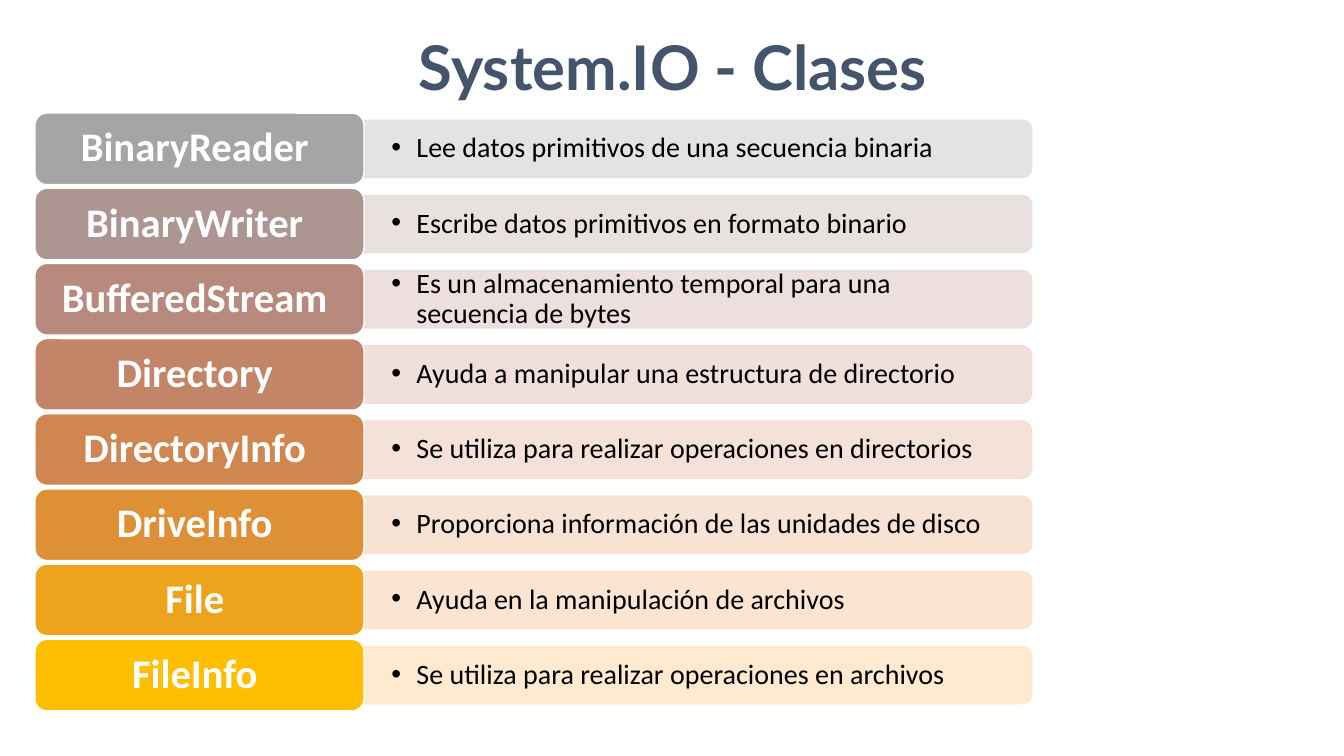
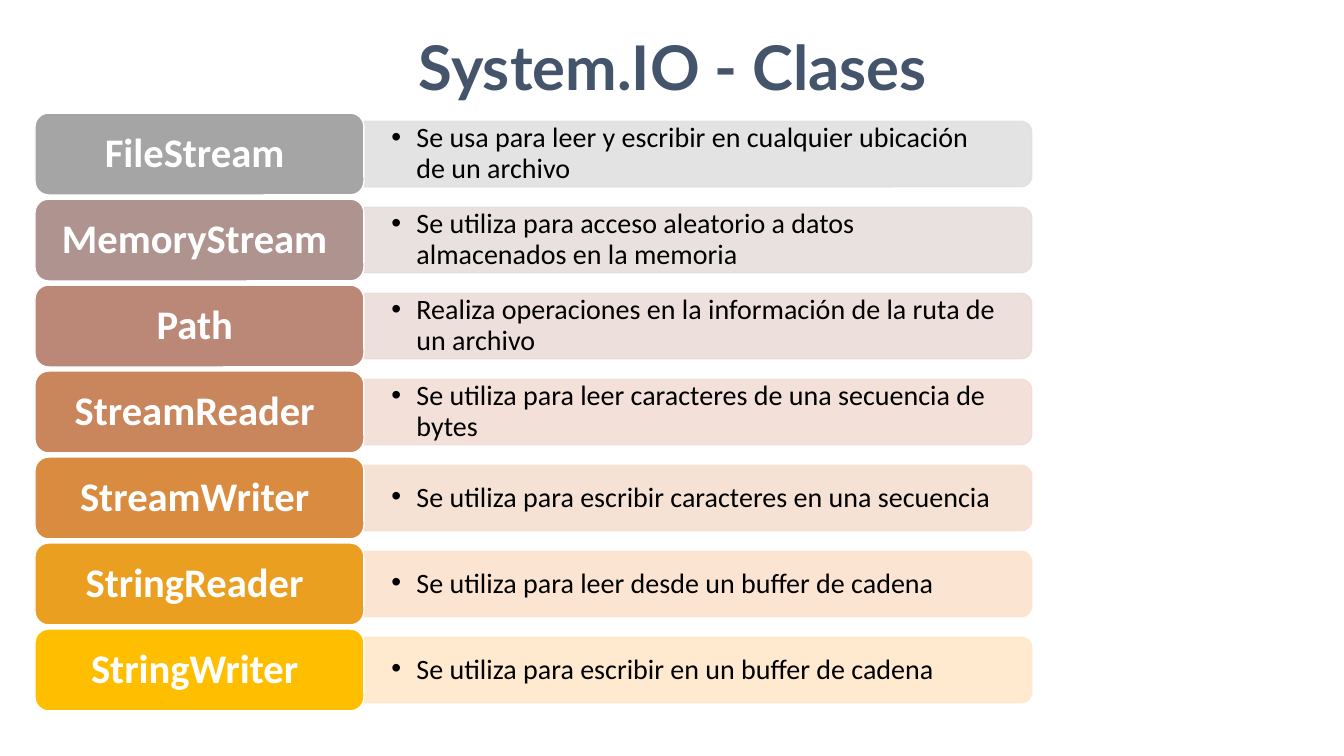
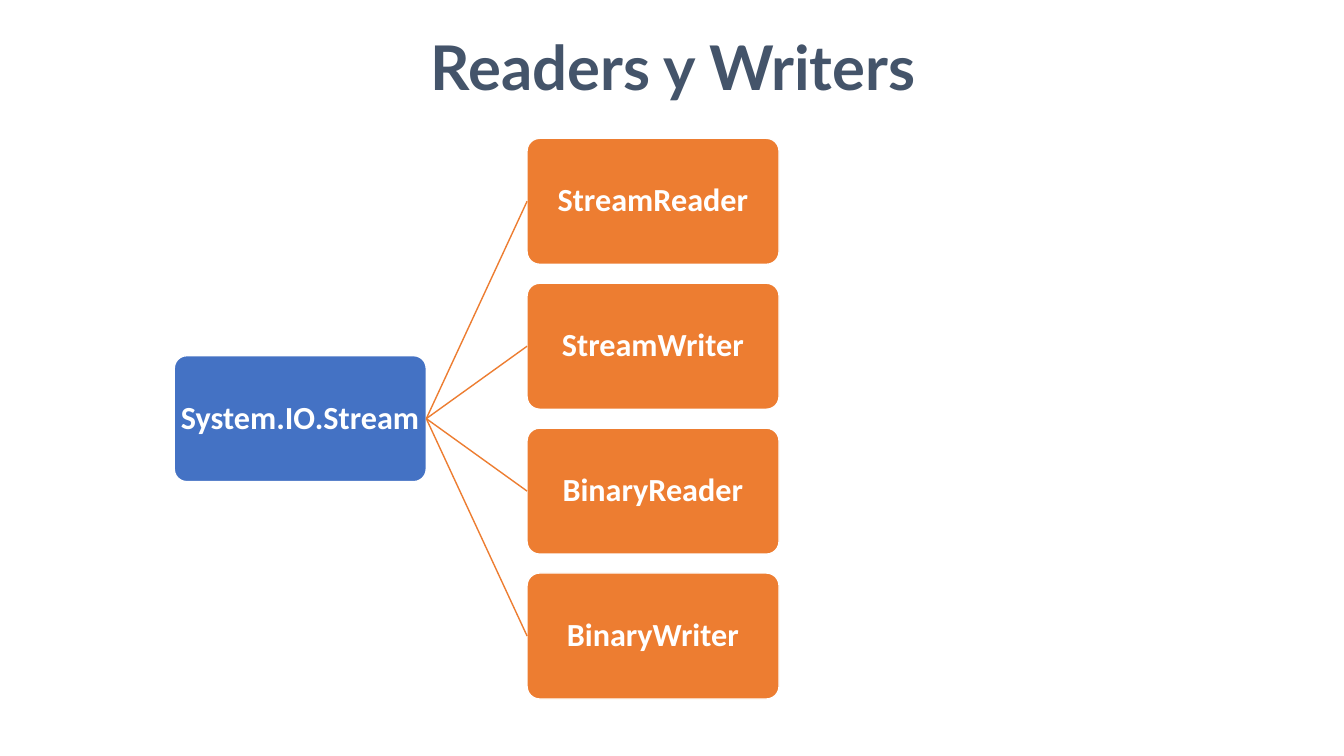
from colorsys import hls_to_rgb
from lxml.etree import SubElement
from pptx import Presentation
from pptx.dml.color import RGBColor
from pptx.enum.shapes import MSO_CONNECTOR as LINK, MSO_SHAPE as SHAPE
from pptx.enum.text import MSO_ANCHOR as ANCHOR, MSO_AUTO_SIZE as FIT, PP_ALIGN as ALIGN
from pptx.oxml.ns import qn
from pptx.util import Pt

# Shared look
SLATE = RGBColor(0x44, 0x54, 0x6A)
WHITE = RGBColor(0xFF, 0xFF, 0xFF)
BLACK = RGBColor(0x00, 0x00, 0x00)
BLUE = RGBColor(0x44, 0x72, 0xC4)
ORANGE = RGBColor(0xED, 0x7D, 0x31)
BODY, HEAD = "Calibri", "Lato"

# Class lists, one per slide
LISTS = [
    [
        ("BinaryReader", "Lee datos primitivos de una secuencia binaria"),
        ("BinaryWriter", "Escribe datos primitivos en formato binario"),
        ("BufferedStream", "Es un almacenamiento temporal para una secuencia de bytes"),
        ("Directory", "Ayuda a manipular una estructura de directorio"),
        ("DirectoryInfo", "Se utiliza para realizar operaciones en directorios"),
        ("DriveInfo", "Proporciona información de las unidades de disco"),
        ("File", "Ayuda en la manipulación de archivos"),
        ("FileInfo", "Se utiliza para realizar operaciones en archivos"),
    ],
    [
        ("FileStream", "Se usa para leer y escribir en cualquier ubicación de un archivo"),
        ("MemoryStream", "Se utiliza para acceso aleatorio a datos almacenados en la memoria"),
        ("Path", "Realiza operaciones en la información de la ruta de un archivo"),
        ("StreamReader", "Se utiliza para leer caracteres de una secuencia de bytes"),
        ("StreamWriter", "Se utiliza para escribir caracteres en una secuencia"),
        ("StringReader", "Se utiliza para leer desde un buffer de cadena"),
        ("StringWriter", "Se utiliza para escribir en un buffer de cadena"),
    ],
]
TITLES = ["System.IO - Clases", "System.IO - Clases", "Readers y Writers"]


def write(shape, text, size=20, color=WHITE, font=BODY, bold=True, align=ALIGN.CENTER,
          anchor=ANCHOR.MIDDLE, side=9, edge=0, space=0.9, bullet=False):
    frame = shape.text_frame
    frame.word_wrap = True
    frame.auto_size = FIT.NONE
    frame.vertical_anchor = anchor
    frame.margin_left = frame.margin_right = Pt(side)
    frame.margin_top = frame.margin_bottom = Pt(edge)
    para = frame.paragraphs[0]
    para.alignment = align
    para.line_spacing = space
    if bullet:
        props = para._p.get_or_add_pPr()
        props.set("marL", str(Pt(18)))
        props.set("indent", str(Pt(-18)))
        SubElement(props, qn("a:buFont"), typeface="Arial")
        SubElement(props, qn("a:buChar"), char="•")
    run = para.add_run()
    run.text = text
    run.font.size, run.font.name, run.font.bold = Pt(size), font, bold
    run.font.color.rgb = color


def draw(slide, kind, left, top, width, height, fill, line=WHITE):
    shape = slide.shapes.add_shape(kind, Pt(left), Pt(top), Pt(width), Pt(height))
    shape.shadow.inherit = False
    shape.fill.solid()
    shape.fill.fore_color.rgb = fill
    shape.line.color.rgb = line
    shape.line.width = Pt(1)
    return shape


deck = Presentation()
deck.slide_width, deck.slide_height = Pt(960), Pt(540)

# Titles
slides = []
for text in TITLES:
    slide = deck.slides.add_slide(deck.slide_layouts[5])
    title = slide.shapes.title
    title.left, title.top, title.width, title.height = Pt(9.4), Pt(18.7), Pt(943), Pt(57)
    write(title, text, size=44, color=SLATE, font=HEAD, anchor=ANCHOR.TOP,
          side=3.6, edge=1.8, space=1)
    slides.append(slide)

# Class rows: label block and bar, with a gap of 5 % of the block
LEFT, TOP, TALL = 25, 80.8, 427
WIDE, SPAN = 235, 477
for slide, rows in zip(slides, LISTS):
    count = len(rows)
    high = TALL / (count + 0.05 * (count - 1))
    thick = 0.8 * high
    for i, (name, note) in enumerate(rows):
        top = TOP + 1.05 * high * i
        part = i / (count - 1)
        # Gray turns to gold, and light gray to cream, by even steps in hue
        gold, cream = [
            RGBColor(*(round(255 * c) for c in hls_to_rgb(hue * part / 360, light, part)))
            for hue, light in [(45, 0.647 - 0.147 * part), (33.5, 0.882 + 0.016 * part)]
        ]
        bar = draw(slide, SHAPE.ROUND_2_SAME_RECTANGLE,
                   LEFT + WIDE + (SPAN - thick) / 2, top + (high - SPAN) / 2,
                   thick, SPAN, cream, cream)
        bar.rotation = 90
        for color in bar._element.spPr.iter(qn("a:srgbClr")):
            SubElement(color, qn("a:alpha"), val="90000")
        label = slide.shapes.add_textbox(Pt(LEFT + WIDE), Pt(top), Pt(SPAN - 2), Pt(high))
        write(label, note, color=BLACK, bold=False, align=ALIGN.LEFT, side=19.5, bullet=True)
        block = draw(slide, SHAPE.ROUNDED_RECTANGLE, LEFT, top, WIDE, high, gold)
        write(block, name + " ", size=29)

# Tree: root, leaves and links
WIDE, HIGH, STEP = 180, 90, 103.5
LEFT, TOP = 124.5, 98.8
LEAVES = ["StreamReader", "StreamWriter", "BinaryReader", "BinaryWriter"]
slide = slides[2]
middle = TOP + STEP * (len(LEAVES) - 1) / 2
nodes = [("System.IO.Stream", LEFT, middle, BLUE)]
nodes += [(name, LEFT + 1.4 * WIDE, TOP + STEP * i, ORANGE) for i, name in enumerate(LEAVES)]
boxes = []
for name, left, top, fill in nodes:
    node = draw(slide, SHAPE.ROUNDED_RECTANGLE, left, top, WIDE, HIGH, fill)
    node.adjustments[0] = 0.1
    write(node, name, size=23, side=1)
    boxes.append(node)
root, *leaves = boxes
for leaf in leaves:
    link = slide.shapes.add_connector(LINK.STRAIGHT, 0, 0, 0, 0)
    link.begin_connect(root, 3)
    link.end_connect(leaf, 1)
    link.line.color.rgb = ORANGE
    link.line.width = Pt(1)
    SubElement(link._element.spPr, qn("a:effectLst"))

deck.save("out.pptx")
